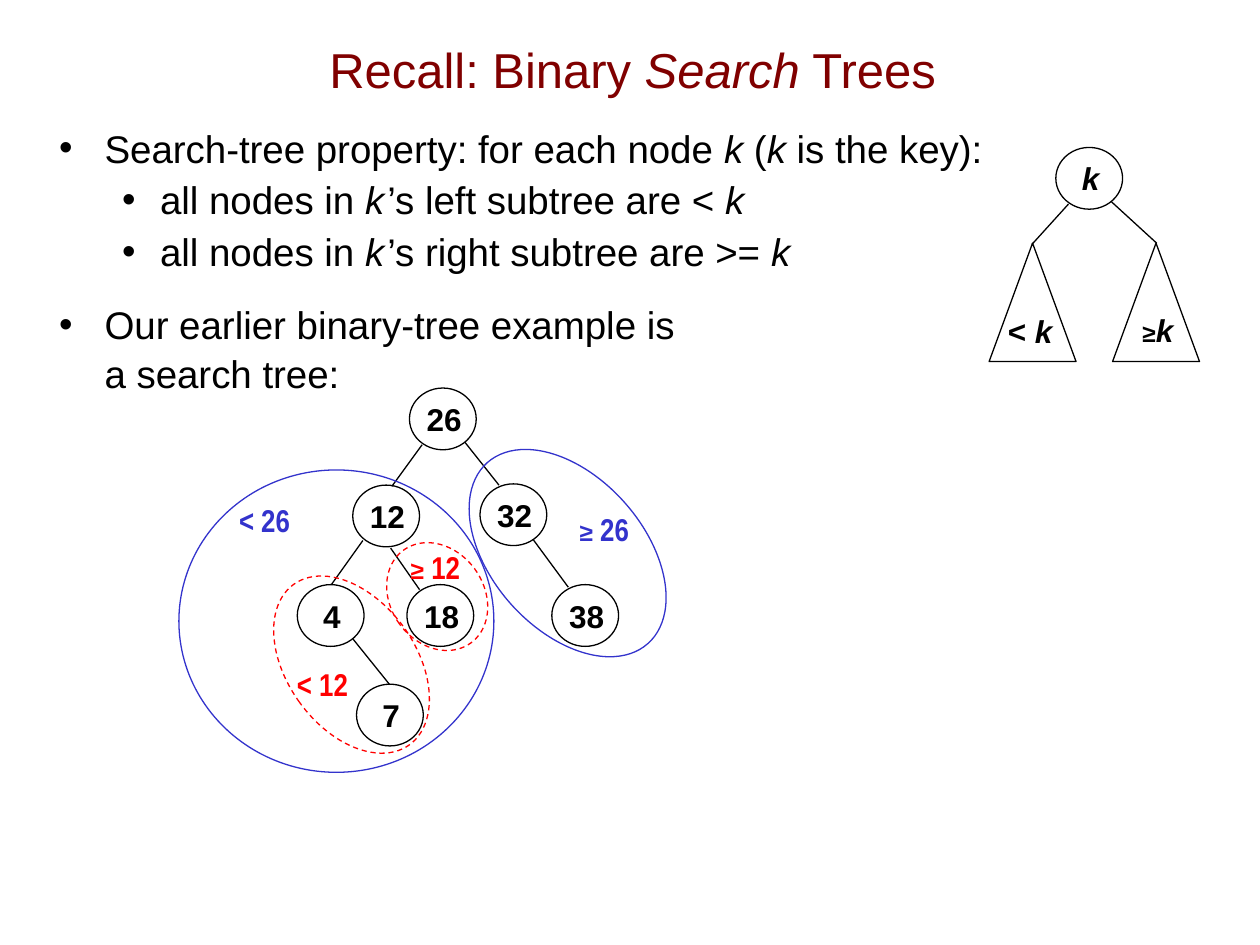
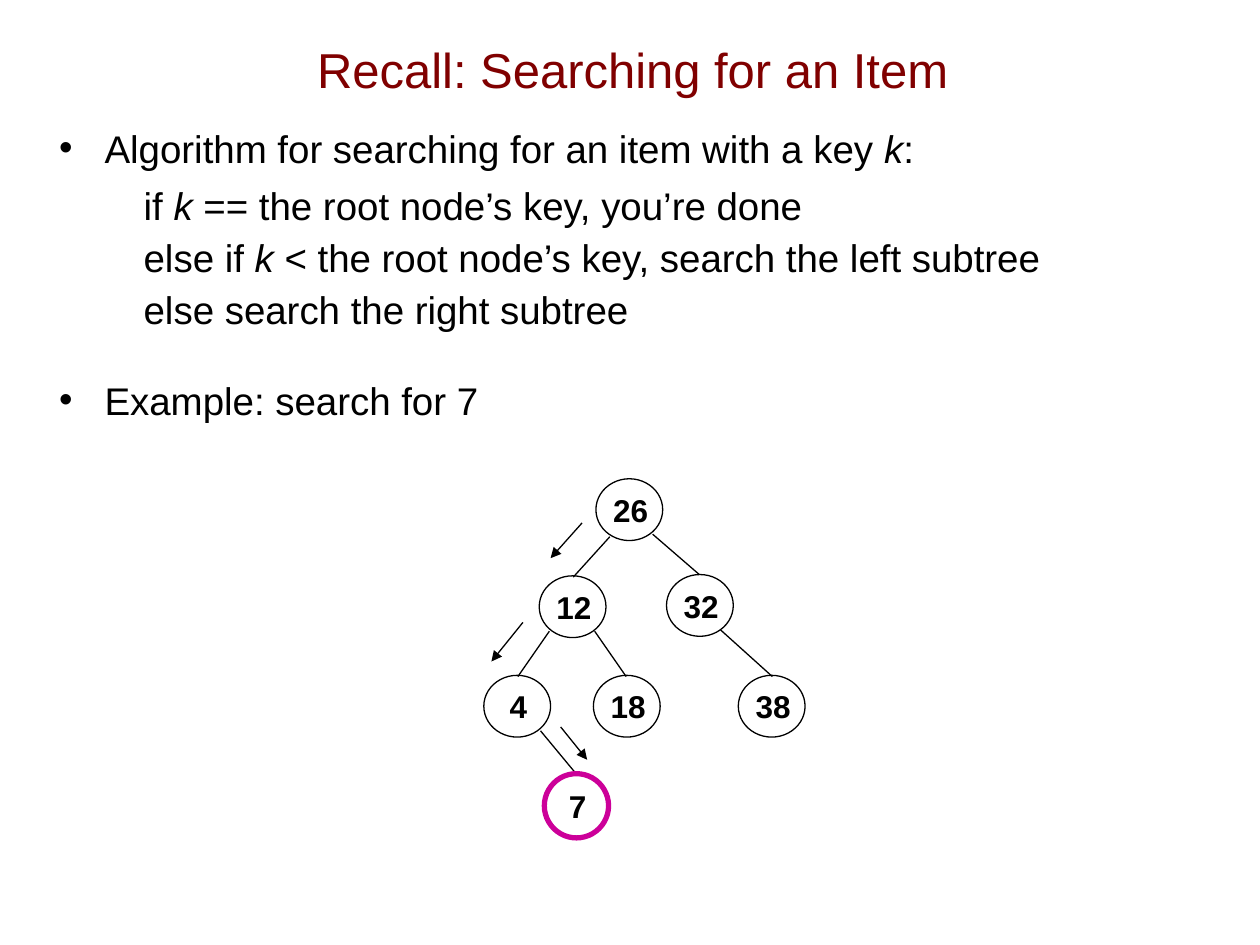
from dataclasses import dataclass

from lxml.etree import SubElement
from pptx import Presentation
from pptx.dml.color import RGBColor
from pptx.enum.dml import MSO_LINE
from pptx.enum.shapes import MSO_CONNECTOR, MSO_SHAPE
from pptx.enum.text import MSO_ANCHOR, MSO_AUTO_SIZE, PP_ALIGN
from pptx.oxml.ns import qn
from pptx.util import Inches, Pt


@dataclass(frozen=True)
class Theme:
    title: str = "800000"
    ink: str = "000000"
    paper: str = "FFFFFF"
    root_range: str = "3333CC"
    inner_range: str = "FF0000"
    found: str = "CC0099"
    font: str = "Arial"
    title_size: int = 28
    body_size: int = 22
    label_size: int = 18
    line_width: float = 0.75
    found_width: float = 3
    body_spacing: float = 1.05


THEME = Theme()
RUN_STYLES = {
    "plain": {},
    "italic": {"italic": True},
    "thin": {"italic": True, "size": Pt(6)},
    "small": {"size": Pt(14)},
    "narrow": {"name": "Arial Narrow"},
}
TITLE_BOX = (0.43, 0.08, 9.18, 0.93)
BODY_BOX = (0.37, 0.92, 9.63, 6.14)

# Outline levels: left margin, first-line indent, bullet
LEVELS = {
    "point": (0, 0.36, -0.36, "•"),
    "sub": (1, 0.8, -0.3, "•"),
    "step": (1, 0.67, 0, None),
}

K = ("k", "italic")
K_POSSESSIVE = [K, (" ", "thin")]

# Outline rows: level, space before in points, runs
PROPERTY_TITLE = ["Recall: Binary ", ("Search", "italic"), " Trees"]
PROPERTY_OUTLINE = [
    ("point", 14, ["Search-tree property: for each node ", ("k ", "italic"), "(", K,
                   " is the key):"]),
    ("sub", 2, ["all nodes in ", *K_POSSESSIVE, "’s left subtree are < ", K]),
    ("sub", 2, ["all nodes in ", *K_POSSESSIVE, "’s right subtree are >= ", K]),
    ("point", 14, ["Our earlier binary-tree example is", "\n", "a search tree:"]),
]
SEARCH_TITLE = ["Recall: Searching for an Item"]
SEARCH_OUTLINE = [
    ("point", 14.2, ["Algorithm for searching for an item with a key ", K, ":"]),
    ("step", 5.2, ["if ", K, " == the root node’s key, you’re done"]),
    ("step", 2, ["else if ", K, " < the root node’s key, search the left subtree"]),
    ("step", 2, ["else search the right subtree"]),
    ("point", 24, ["Example: search for 7"]),
]

# Keys with the place of each node relative to the root
TREE = {
    "26": (0, 0), "12": (-0.45, 0.77), "32": (0.56, 0.76), "4": (-0.89, 1.56),
    "18": (-0.02, 1.56), "38": (1.13, 1.56), "7": (-0.42, 2.35),
}
NODE_SIZE = (0.53, 0.49)
LABEL_SIZE = (0.61, 0.41)
LABEL_SHIFT = (-0.03, 0.04)

PROPERTY_ROOT = (3.25, 3.08)
PROPERTY_EDGES = [
    (3.35, 3.53, 3.11, 3.86), (3.69, 3.51, 3.96, 3.85), (2.88, 4.29, 2.63, 4.64),
    (3.1, 4.35, 3.33, 4.68), (4.23, 4.28, 4.51, 4.66), (2.8, 5.07, 3.09, 5.43),
]
SEARCH_ROOT = (4.73, 3.8)
SEARCH_EDGES = [
    (4.84, 4.26, 4.55, 4.58), (5.18, 4.24, 5.55, 4.56), (4.36, 5.01, 4.11, 5.37),
    (4.72, 5.01, 4.97, 5.37), (5.72, 5, 6.13, 5.37), (4.29, 5.8, 4.58, 6.15),
]
SEARCH_STEPS = [
    (4.62, 4.15, 4.37, 4.43), (4.15, 4.94, 3.9, 5.25), (4.45, 5.77, 4.66, 6.03),
]
FOUND_RING = (4.32, 6.14, 0.51, 0.51)

KEY_NODE = (8.38, 1.17)
KEY_EDGES = [(8.48, 1.62, 8.19, 1.94), (8.82, 1.6, 9.18, 1.93)]
# Subtree triangles: left of triangle, label place, label runs
SUBTREES = [
    (7.85, (7.87, 2.42), ["< ", K]),
    (8.83, (8.85, 2.41), [" ", ("≥", "small"), K]),
]
SUBTREE_TOP, SUBTREE_SIZE = 1.93, (0.69, 0.94)

# Key ranges: ellipse, rotation, colour, dash, label box, label runs
RANGES = [
    ((1.42, 3.73, 2.5, 2.4), 0, THEME.root_range, None,
     (1.79, 3.93, 0.61, 0.4), [("< 26", "narrow")]),
    ((3.9, 3.43, 1.21, 1.92), 318.4, THEME.root_range, None,
     (4.5, 4, 0.59, 0.4), [("≥", "small"), (" 26", "narrow")]),
    ((2.28, 4.49, 1.02, 1.57), 324.2, THEME.inner_range, MSO_LINE.DASH,
     (2.25, 5.23, 0.61, 0.4), [("< 12", "narrow")]),
    ((3.1, 4.28, 0.74, 0.91), 324.2, THEME.inner_range, MSO_LINE.DASH,
     (3.16, 4.3, 0.59, 0.4), [("≥", "small"), (" 12", "narrow")]),
]


def inches(values):
    return [Inches(value) for value in values]


def write_runs(paragraph, runs, size, color, bold=False):
    """Add plain strings, (text, style) pairs and line breaks to a paragraph."""
    for run_entry in runs:
        if run_entry == "\n":
            paragraph.add_line_break()
            SubElement(paragraph._p[-1], qn("a:rPr"), sz=str(size * 100))
            continue
        words, style = (run_entry, "plain") if isinstance(run_entry, str) else run_entry
        run = paragraph.add_run()
        run.text = words
        base = {"name": THEME.font, "size": Pt(size), "bold": bold, "italic": False}
        for attribute, value in (base | RUN_STYLES[style]).items():
            setattr(run.font, attribute, value)
        run.font.color.rgb = RGBColor.from_string(color)


def place(shape, box):
    for attribute, value in zip(("left", "top", "width", "height"), inches(box)):
        setattr(shape, attribute, value)


def set_bullet(paragraph, bullet):
    properties = paragraph._p.get_or_add_pPr()
    if bullet is None:
        SubElement(properties, qn("a:buNone"))
        return
    bullet_color = SubElement(properties, qn("a:buClr"))
    SubElement(bullet_color, qn("a:srgbClr"), val=THEME.ink)
    SubElement(properties, qn("a:buFont"), typeface=THEME.font)
    SubElement(properties, qn("a:buChar"), char=bullet)


def add_slide(deck, title_runs, outline):
    slide = deck.slides.add_slide(deck.slide_layouts[1])
    title, body = slide.placeholders
    place(title, TITLE_BOX)
    title.text_frame.vertical_anchor = MSO_ANCHOR.MIDDLE
    heading = title.text_frame.paragraphs[0]
    heading.alignment = PP_ALIGN.CENTER
    write_runs(heading, title_runs, THEME.title_size, THEME.title)

    place(body, BODY_BOX)
    body.text_frame.auto_size = MSO_AUTO_SIZE.NONE
    for row, (level_name, space_before, runs) in enumerate(outline):
        frame = body.text_frame
        paragraph = frame.add_paragraph() if row else frame.paragraphs[0]
        level, margin, indent, bullet = LEVELS[level_name]
        layout = {"level": level, "line_spacing": THEME.body_spacing,
                  "space_before": Pt(space_before)}
        for attribute, value in layout.items():
            setattr(paragraph, attribute, value)
        properties = paragraph._p.get_or_add_pPr()
        properties.set("marL", str(Inches(margin)))
        properties.set("indent", str(Inches(indent)))
        set_bullet(paragraph, bullet)
        write_runs(paragraph, runs, THEME.body_size, THEME.ink)
    return slide


def add_outline(slide, preset, box, color=THEME.ink, width=THEME.line_width,
                rotation=0, dash=None):
    """Draw an unfilled preset shape."""
    shape = slide.shapes.add_shape(preset, *inches(box))
    shape.shadow.inherit = False
    shape.rotation = rotation
    shape.fill.background()
    shape.line.color.rgb = RGBColor.from_string(color)
    shape.line.width = Pt(width)
    if dash:
        shape.line.dash_style = dash


def add_label(slide, corner, runs):
    label = slide.shapes.add_shape(MSO_SHAPE.RECTANGLE, *inches(corner + LABEL_SIZE))
    label.shadow.inherit = False
    label.fill.solid()
    label.fill.fore_color.rgb = RGBColor.from_string(THEME.paper)
    label.line.fill.background()
    paragraph = label.text_frame.paragraphs[0]
    paragraph.alignment = PP_ALIGN.CENTER
    write_runs(paragraph, runs, THEME.label_size, THEME.ink, bold=True)


def add_node(slide, corner, runs):
    label_corner = tuple(at + shift for at, shift in zip(corner, LABEL_SHIFT))
    add_label(slide, label_corner, runs)
    add_outline(slide, MSO_SHAPE.OVAL, corner + NODE_SIZE)


def add_lines(slide, lines, arrow=False):
    for ends in lines:
        line = slide.shapes.add_connector(MSO_CONNECTOR.STRAIGHT, *inches(ends))
        line.line.color.rgb = RGBColor.from_string(THEME.ink)
        line.line.width = Pt(THEME.line_width)
        if arrow:
            SubElement(line.line._get_or_add_ln(), qn("a:tailEnd"), type="triangle")
        SubElement(line._element.spPr, qn("a:effectLst"))


def add_tree(slide, root, edges):
    for key, (across, down) in TREE.items():
        add_node(slide, (root[0] + across, root[1] + down), [key])
    add_lines(slide, edges)


def add_key_diagram(slide):
    add_node(slide, KEY_NODE, [K])
    add_lines(slide, KEY_EDGES)
    for left, label_corner, runs in SUBTREES:
        add_label(slide, label_corner, runs)
        add_outline(slide, MSO_SHAPE.ISOSCELES_TRIANGLE, (left, SUBTREE_TOP) + SUBTREE_SIZE)


def add_ranges(slide):
    for ellipse, rotation, color, dash, label_box, runs in RANGES:
        add_outline(slide, MSO_SHAPE.OVAL, ellipse, color, rotation=rotation, dash=dash)
        frame = slide.shapes.add_textbox(*inches(label_box)).text_frame
        frame.word_wrap = False
        frame.auto_size = MSO_AUTO_SIZE.SHAPE_TO_FIT_TEXT
        paragraph = frame.paragraphs[0]
        paragraph.alignment = PP_ALIGN.RIGHT
        write_runs(paragraph, runs, THEME.label_size, color, bold=True)


def main():
    deck = Presentation()
    deck.slide_width, deck.slide_height = inches((10, 7.5))

    property_slide = add_slide(deck, PROPERTY_TITLE, PROPERTY_OUTLINE)
    add_tree(property_slide, PROPERTY_ROOT, PROPERTY_EDGES)
    add_key_diagram(property_slide)
    add_ranges(property_slide)

    search_slide = add_slide(deck, SEARCH_TITLE, SEARCH_OUTLINE)
    add_tree(search_slide, SEARCH_ROOT, SEARCH_EDGES)
    add_lines(search_slide, SEARCH_STEPS, arrow=True)
    add_outline(search_slide, MSO_SHAPE.OVAL, FOUND_RING, THEME.found, THEME.found_width)

    deck.save("out.pptx")


if __name__ == "__main__":
    main()
